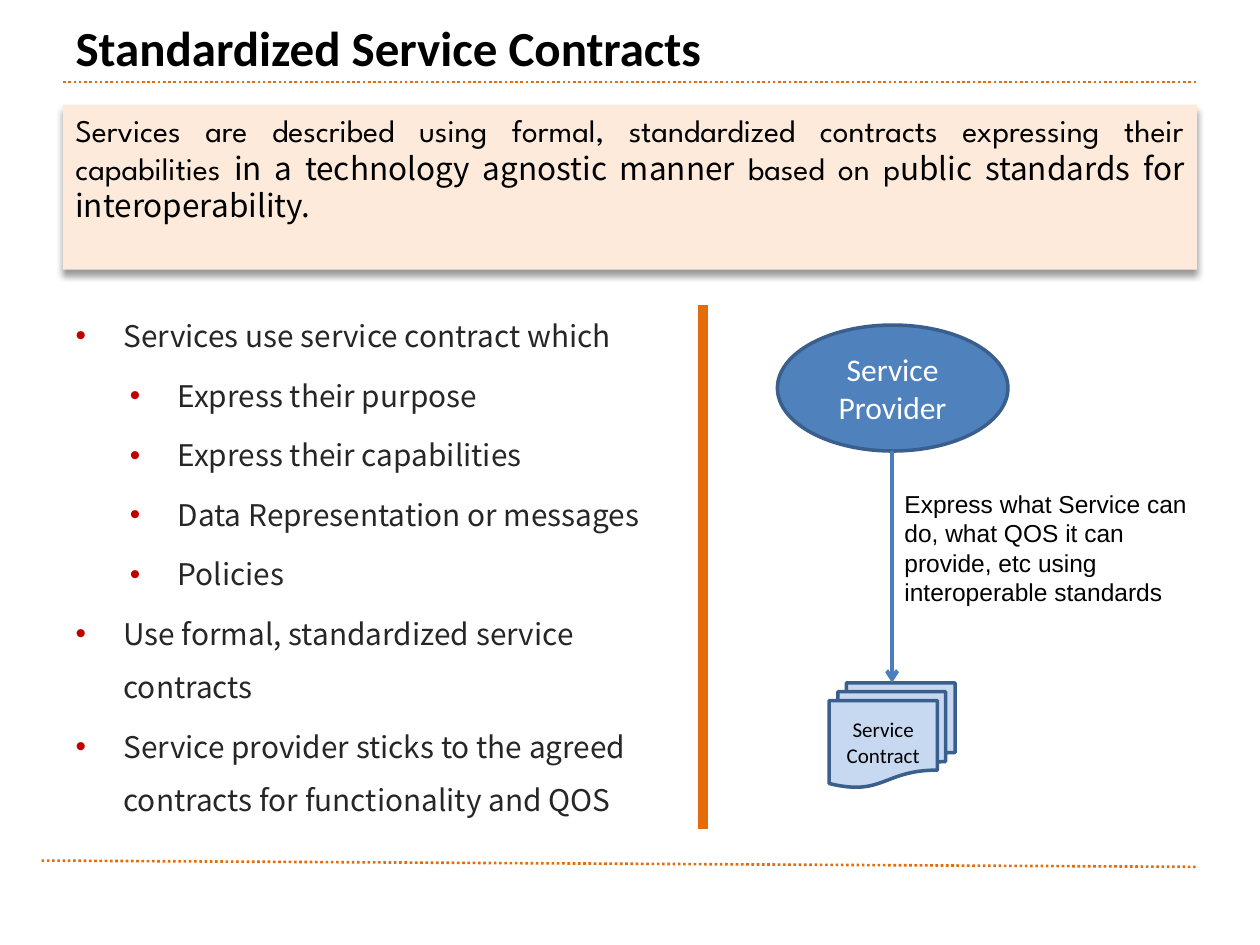
from lxml.etree import SubElement
from pptx import Presentation
from pptx.dml.color import RGBColor
from pptx.enum.dml import MSO_LINE
from pptx.enum.shapes import MSO_CONNECTOR, MSO_SHAPE
from pptx.enum.text import MSO_ANCHOR, MSO_AUTO_SIZE, PP_ALIGN
from pptx.oxml.ns import qn
from pptx.util import Inches, Pt

BLACK = RGBColor(0x00, 0x00, 0x00)
WHITE = RGBColor(0xFF, 0xFF, 0xFF)
CHARCOAL = RGBColor(0x26, 0x26, 0x26)
ORANGE = RGBColor(0xE4, 0x6C, 0x0A)
PEACH = RGBColor(0xFD, 0xEA, 0xDA)
RED = RGBColor(0xC0, 0x00, 0x00)
BLUE = RGBColor(0x4F, 0x81, 0xBD)
ARROW_BLUE = RGBColor(0x4B, 0x7E, 0xBC)
OUTLINE_BLUE = RGBColor(0x3A, 0x5F, 0x8C)
PALE_BLUE = RGBColor(0xC6, 0xD9, 0xF1)

SANS = "Noto Sans CJK KR"
GEOMETRIC = "League Spartan"

DEFINITION = [
    ("Services are described using formal, standardized contracts expressing their capabilities ", GEOMETRIC),
    ("in a technology agnostic manner ", SANS),
    ("based on p", GEOMETRIC),
    ("ublic standards for interoperability.", SANS),
]
POINTS = [
    (0, "Services use service contract which"),
    (1, "Express their purpose"),
    (1, "Express their capabilities"),
    (1, "Data Representation or messages"),
    (1, "Policies"),
    (0, "Use formal, standardized service contracts"),
    (0, "Service provider sticks to the agreed contracts for functionality and QOS"),
]
LEVEL_INDENTS = [0.38, 0.81]
HANGING = 0.38


def place(element, left, top, width, height):
    """Move and size an element, in inches."""
    element.left, element.top = Inches(left), Inches(top)
    element.width, element.height = Inches(width), Inches(height)


def style_run(run, font_name, size, color, bold=False):
    """Set the font of one run."""
    run.font.name, run.font.size, run.font.bold = font_name, Pt(size), bold
    run.font.color.rgb = color


def add_line(slide, start, end, color, width, dash=None, arrow=False):
    """Draw a straight line, optionally dashed or with an arrowhead."""
    line = slide.shapes.add_connector(
        MSO_CONNECTOR.STRAIGHT, *(Inches(value) for value in start + end))
    line.line.color.rgb = color
    line.line.width = Pt(width)
    if dash:
        line.line.dash_style = dash
    if arrow:
        SubElement(line.line._get_or_add_ln(), qn("a:tailEnd"), type="arrow")
    SubElement(line._element.spPr, qn("a:effectLst"))


def add_block(slide, preset, box, fill, outline=None):
    """Add a filled preset shape without shadow."""
    block = slide.shapes.add_shape(preset, *(Inches(value) for value in box))
    block.shadow.inherit = False
    block.fill.solid()
    block.fill.fore_color.rgb = fill
    if outline:
        block.line.color.rgb = outline
        block.line.width = Pt(2)
    else:
        block.line.fill.background()
    return block


def add_node(slide, preset, box, fill, label, size, color):
    """Add an outlined diagram node with a centred label."""
    node = add_block(slide, preset, box, fill, OUTLINE_BLUE)
    node.text_frame.text = label
    node.text_frame.word_wrap = True
    node.text_frame.vertical_anchor = MSO_ANCHOR.MIDDLE
    paragraph = node.text_frame.paragraphs[0]
    paragraph.alignment = PP_ALIGN.CENTER
    style_run(paragraph.runs[0], "Calibri", size, color)


def add_drop_shadow(block):
    """Give a block a soft black shadow below it."""
    effects = block._element.spPr.find(qn("a:effectLst"))
    shadow = SubElement(effects, qn("a:outerShdw"), blurRad=str(Pt(4)), dist=str(Pt(3)),
                        dir=str(90 * 60000), rotWithShape="0")
    shade = SubElement(shadow, qn("a:srgbClr"), val=str(BLACK))
    SubElement(shade, qn("a:alpha"), val="40000")


def fill_title(title):
    """Write the slide heading."""
    place(title, 0.5, 0.06, 9, 0.62)
    title.text_frame.text = "Standardized Service Contracts"
    title.text_frame.vertical_anchor = MSO_ANCHOR.MIDDLE
    heading = title.text_frame.paragraphs[0]
    heading.alignment = PP_ALIGN.LEFT
    style_run(heading.runs[0], "Calibri", 28, BLACK, bold=True)


def set_bullet(paragraph, indent):
    """Give a paragraph a red bullet and a hanging indent."""
    properties = paragraph._p.get_or_add_pPr()
    properties.set("marL", str(Inches(indent)))
    properties.set("indent", str(Inches(-HANGING)))
    bullet_color = SubElement(properties, qn("a:buClr"))
    SubElement(bullet_color, qn("a:srgbClr"), val=str(RED))
    SubElement(properties, qn("a:buFont"), typeface="Arial")
    SubElement(properties, qn("a:buChar"), char="•")


def fill_points(body):
    """Write the two-level list of points."""
    place(body, 0.5, 2.33, 5, 4.33)
    frame = body.text_frame
    frame.text = "\n".join(text for _, text in POINTS)
    frame.auto_size = MSO_AUTO_SIZE.NONE
    for paragraph, (level, _) in zip(frame.paragraphs, POINTS):
        paragraph.level = level
        paragraph.line_spacing = 1.5
        set_bullet(paragraph, LEVEL_INDENTS[level])
        style_run(paragraph.runs[0], SANS, 17, CHARCOAL)


def add_definition(slide):
    """Add the shaded definition box."""
    definition = add_block(slide, MSO_SHAPE.RECTANGLE, (0.5, 0.83, 9, 1.31), PEACH)
    add_drop_shadow(definition)
    definition.text_frame.word_wrap = True
    definition.text_frame.vertical_anchor = MSO_ANCHOR.TOP
    paragraph = definition.text_frame.paragraphs[0]
    paragraph.alignment = PP_ALIGN.JUSTIFY
    for text, font_name in DEFINITION:
        run = paragraph.add_run()
        run.text = text
        style_run(run, font_name, 18, BLACK)


def add_caption(slide):
    """Add the explanation beside the arrow."""
    caption = slide.shapes.add_textbox(Inches(7.08), Inches(3.83), Inches(2.5), Inches(1.04))
    caption.text_frame.word_wrap = True
    caption.text_frame.text = ("Express what Service can do, what QOS it can provide, "
                               "etc using interoperable standards")
    style_run(caption.text_frame.paragraphs[0].runs[0], "Arial", 14, BLACK)


def main():
    """Build the slide and save it."""
    deck = Presentation()
    deck.slide_width, deck.slide_height = Inches(10), Inches(7.5)
    slide = deck.slides.add_slide(deck.slide_layouts[1])

    add_line(slide, (0.5, 0.65), (9.5, 0.65), ORANGE, 1.5, MSO_LINE.ROUND_DOT)
    add_line(slide, (0.33, 6.83), (9.5, 6.88), ORANGE, 1.5, MSO_LINE.ROUND_DOT)
    fill_title(slide.shapes.title)
    fill_points(slide.placeholders[1])
    add_definition(slide)
    add_node(slide, MSO_SHAPE.FLOWCHART_MULTIDOCUMENT, (6.58, 5.42, 1, 0.83),
             PALE_BLUE, "Service Contract", 12, BLACK)
    add_node(slide, MSO_SHAPE.OVAL, (6.17, 2.58, 1.83, 1),
             BLUE, "Service Provider", 18, WHITE)
    add_caption(slide)
    add_line(slide, (7.08, 3.58), (7.08, 5.42), ARROW_BLUE, 2.25, arrow=True)
    add_line(slide, (5.58, 2.42), (5.58, 6.58), ORANGE, 6)
    deck.save("out.pptx")


main()
